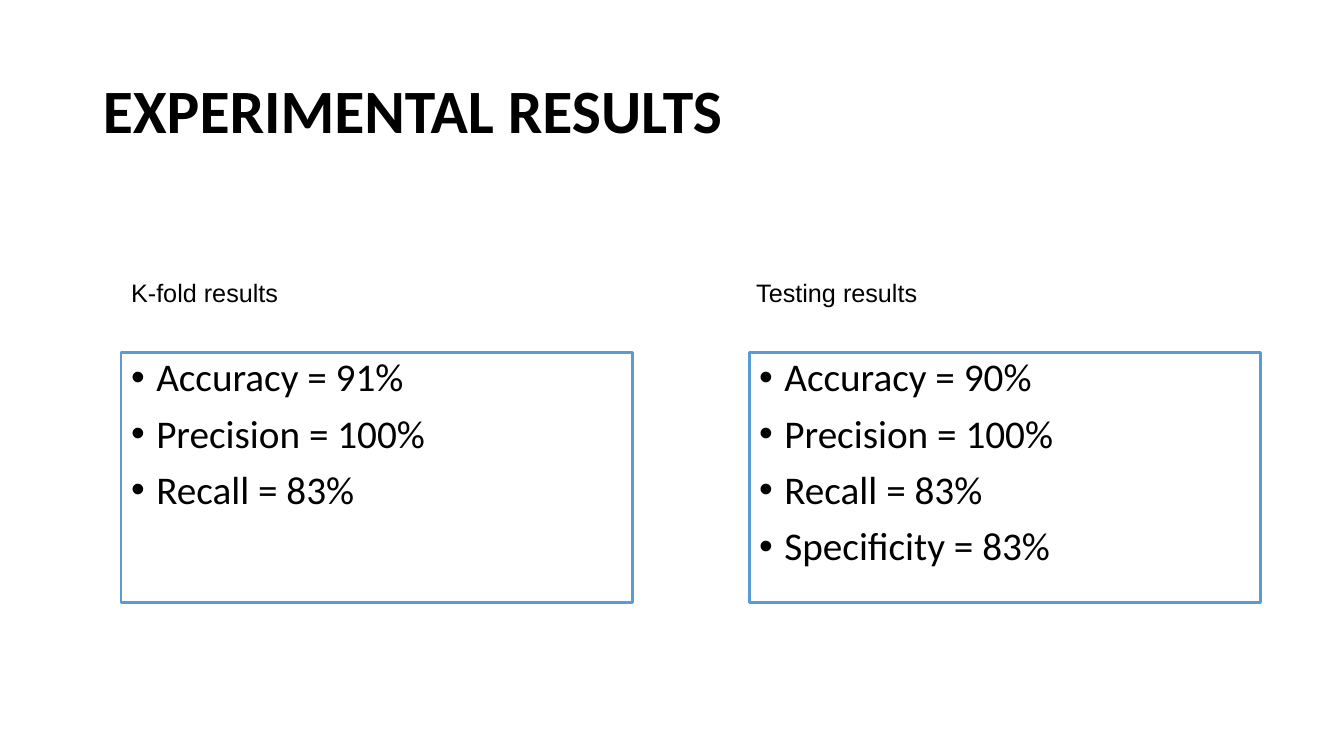
from lxml.etree import SubElement
from pptx import Presentation
from pptx.dml.color import RGBColor
from pptx.enum.text import MSO_ANCHOR, MSO_AUTO_SIZE, PP_ALIGN
from pptx.oxml.ns import qn
from pptx.util import Inches, Pt

BLACK = RGBColor(0x00, 0x00, 0x00)
BLUE = RGBColor(0x5B, 0x9B, 0xD5)
UNIT = Inches(0.1)
COMPARISON_LAYOUT = 4
RESULTS = [
    ("K-fold results", 12, 12,
     ["Accuracy = 91%", "Precision = 100%", "Recall = 83%"]),
    ("Testing results", 74, 74.3,
     ["Accuracy = 90%", "Precision = 100%", "Recall = 83%", "Specificity = 83%"]),
]


class Deck:
    """Fills the slide's placeholders on a grid of tenth-inch columns and rows."""

    def __init__(self):
        self.prs = Presentation()
        self.prs.slide_width, self.prs.slide_height = Inches(13.33), Inches(7.5)
        layout = self.prs.slide_layouts[COMPARISON_LAYOUT]
        self.s = self.prs.slides.add_slide(layout)

    def place(self, idx, col, row, cols, rows, anchor=MSO_ANCHOR.TOP):
        sp = self.s.placeholders[idx]
        sp.left, sp.top = int(col * UNIT), int(row * UNIT)
        sp.width, sp.height = int(cols * UNIT), int(rows * UNIT)
        tf = sp.text_frame
        tf.word_wrap = True
        tf.auto_size = MSO_AUTO_SIZE.NONE
        tf.vertical_anchor = anchor
        tf.margin_left = tf.margin_right = Inches(0.1)
        tf.margin_top = tf.margin_bottom = Inches(0.05)
        return sp

    def add_text(self, p, text, size, font="Calibri", bold=False, spacing=0.9, before=0):
        p.alignment = PP_ALIGN.LEFT
        p.line_spacing, p.space_before = spacing, Pt(before)
        r = p.add_run()
        r.text = text
        r.font.name, r.font.size, r.font.bold = font, Pt(size), bold
        r.font.color.rgb = BLACK

    def bullet(self, p):
        pPr = p._p.get_or_add_pPr()
        pPr.set("marL", str(Inches(0.25)))
        pPr.set("indent", str(-Inches(0.25)))
        clr = SubElement(pPr, qn("a:buClr"))
        SubElement(clr, qn("a:srgbClr"), val=str(BLACK))
        SubElement(pPr, qn("a:buFont"), typeface="Arial")
        SubElement(pPr, qn("a:buChar"), char="•")

    def title(self, text):
        sp = self.place(0, 9.2, 4, 115, 14.5, MSO_ANCHOR.MIDDLE)
        self.add_text(sp.text_frame.paragraphs[0], text, 44, bold=True)

    def heading(self, idx, col, text):
        sp = self.place(idx, col, 27, 28, 6)
        self.add_text(sp.text_frame.paragraphs[0], text, 18, "Arial", spacing=1.0)

    def box(self, idx, col, items):
        sp = self.place(idx, col, 35, 50.7, 24.8)
        sp.line.color.rgb, sp.line.width = BLUE, Pt(2)
        tf = sp.text_frame
        for i, item in enumerate(items):
            p = tf.add_paragraph() if i else tf.paragraphs[0]
            self.add_text(p, item, 28, before=10)
            self.bullet(p)


def main():
    deck = Deck()
    deck.title("EXPERIMENTAL RESULTS")
    for i, (heading, heading_col, box_col, items) in enumerate(RESULTS):
        deck.heading(2 * i + 1, heading_col, heading)
        deck.box(2 * i + 2, box_col, items)
    deck.prs.save("out.pptx")


if __name__ == "__main__":
    main()
